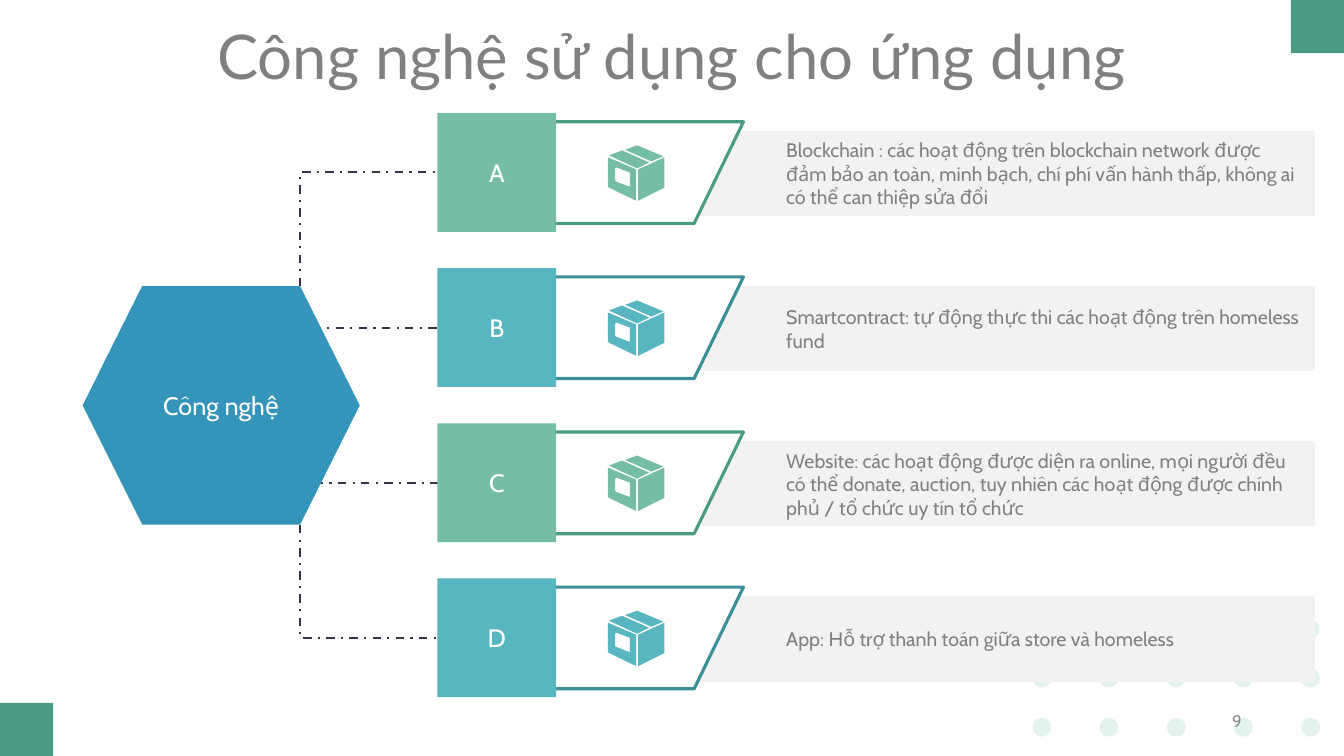
from dataclasses import dataclass

import lxml.etree
import pptx
import pptx.dml.color
import pptx.enum.dml
import pptx.enum.shapes
import pptx.enum.text
import pptx.oxml.ns
import pptx.util

Pt = pptx.util.Pt
qn = pptx.oxml.ns.qn
Form = pptx.enum.shapes.MSO_SHAPE
Align = pptx.enum.text.PP_ALIGN
Anchor = pptx.enum.text.MSO_ANCHOR


@dataclass(frozen=True)
class Theme:
    head: str = "Lato"
    body: str = "Cabin"
    gray: str = "808080"
    faint: str = "8C8C8C"
    white: str = "FFFFFF"
    band: str = "F2F2F2"
    dot: str = "E3F2ED"
    ink: str = "373545"
    blue: str = "3494BA"
    mint: str = "75BDA7"
    green: str = "4A9B83"
    aqua: str = "58B6C0"
    teal: str = "3A8F98"
    title: int = 44
    label: int = 18
    note: int = 14
    small: int = 12


# Package icon: outlines of each face, measured from the icon's centre
FACES = [
    [[(-15, -2.9), (-13.9, -3.6), (-4.5, 0), (-4.5, 10), (-5, 10.1),
      (-14.4, 6.5), (-15, 5.8)],
     [(-20.2, 10.1), (-19.4, 10.8), (0, 20.2), (0, -2.2), (-20.2, -10.8)]],
    [[(-10.1, -15.8), (-19.4, -12.2), (0.7, -2.9), (9.4, -7.2)]],
    [[(1.4, -2.2), (1.4, 20.2), (20.2, 10.8), (20.2, -10.8)]],
    [[(19.4, -11.5), (0.7, -19.4), (-7.9, -16.2), (10.8, -7.9)]],
]


class Painter:
    def __init__(self, slide, theme):
        self.slide = slide
        self.theme = theme

    def color(self, code):
        return pptx.dml.color.RGBColor.from_string(code)

    def paint(self, shape, fill, edge=None):
        shape.shadow.inherit = False
        shape.fill.solid()
        shape.fill.fore_color.rgb = self.color(fill)
        if edge:
            shape.line.color.rgb = self.color(edge)
            shape.line.width = Pt(2.25)
        else:
            shape.line.fill.background()
        return shape

    def shape(self, form, x, y, w, h, fill, edge=None):
        new = self.slide.shapes.add_shape(form, Pt(x), Pt(y), Pt(w), Pt(h))
        return self.paint(new, fill, edge)

    def label(self, shape, text, size, code, align, font=None):
        frame = shape.text_frame
        frame.word_wrap = True
        frame.vertical_anchor = Anchor.MIDDLE
        frame.text = text
        line = frame.paragraphs[0]
        line.alignment = align
        for run in line.runs:
            run.font.name = font or self.theme.body
            run.font.size = Pt(size)
            run.font.color.rgb = self.color(code)
        return frame

    def text(self, x, y, w, h, *style):
        box = self.slide.shapes.add_textbox(Pt(x), Pt(y), Pt(w), Pt(h))
        return self.label(box, *style)

    def elbow(self, start, end, bend):
        """Dashed elbow; bend is its turning point as a share of the width."""
        kind = pptx.enum.shapes.MSO_CONNECTOR.ELBOW
        link = self.slide.shapes.add_connector(
            kind, *[Pt(n) for n in (*start, *end)])
        link.line.color.rgb = self.color(self.theme.ink)
        link.line.width = Pt(1.5)
        link.line.dash_style = pptx.enum.dml.MSO_LINE.DASH_DOT
        props = link._element.spPr
        guides = props.find(qn("a:prstGeom")).find(qn("a:avLst"))
        lxml.etree.SubElement(guides, qn("a:gd"), name="adj1",
                              fmla=f"val {round(bend * 100000)}")
        lxml.etree.SubElement(props, qn("a:effectLst"))

    def face(self, loops, x, y, fill):
        loops = [[(Pt(x + a), Pt(y + b)) for a, b in loop] for loop in loops]
        pen = self.slide.shapes.build_freeform(*loops[0][0])
        pen.add_line_segments(loops[0][1:], close=True)
        for loop in loops[1:]:
            pen.move_to(*loop[0])
            pen.add_line_segments(loop[1:], close=True)
        return self.paint(pen.convert_to_shape(), fill)

    def group(self, parts):
        self.slide.shapes.add_group_shape(parts)


def main():
    deck = pptx.Presentation()
    deck.slide_width, deck.slide_height = Pt(960), Pt(540)
    theme = Theme()
    draw = Painter(deck.slides.add_slide(deck.slide_layouts[6]), theme)

    # Title
    frame = draw.text(38, 18.7, 884, 48.2, "Công nghệ sử dụng cho ứng dụng",
                      theme.title, theme.gray, Align.CENTER, theme.head)
    frame.vertical_anchor = Anchor.TOP
    frame.margin_left = frame.margin_right = 0
    frame.margin_top = frame.margin_bottom = 0
    frame.paragraphs[0].line_spacing = 0.9

    # Dots: two full rows below a single dot in the last column
    spots = [(4, 0)] + [(col, row) for row in (1, 2) for col in range(5)]
    draw.group([draw.shape(Form.OVAL, 737.4 + 48 * col, 442.4 + 35.2 * row,
                           13.5, 13.5, theme.dot) for col, row in spots])

    # Corner squares and page number
    for x, y in ((922, 0), (0, 502)):
        draw.shape(Form.RECTANGLE, x, y, 38, 38, theme.green)
    draw.text(678, 500.4, 216, 28.8, "9", theme.small, theme.faint, Align.RIGHT)

    # Links from the hexagon to the row centres
    first, pitch = 123.2, 110.8
    mids = [first + pitch * n for n in range(4)]
    edge = 312.5
    draw.elbow((214.5, 204.5), (edge, mids[0]), 0)
    draw.elbow((214.5, 375), (edge, mids[3]), 0)
    draw.elbow((edge + 1, mids[2]), (edge, mids[1]), 97.92)

    # Hexagon
    hub = draw.shape(Form.HEXAGON, 59, 204.3, 198, 170.5, theme.blue)
    draw.label(hub, "Công nghệ", theme.label, theme.white, Align.CENTER)

    # Rows
    notes = [
        "Blockchain : các hoạt động trên blockchain network được đảm bảo an "
        "toàn, minh bạch, chí phí vấn hành thấp, không ai có thể can thiệp "
        "sửa đổi",
        "Smartcontract: tự động thực thi các hoạt động trên homeless fund",
        "Website: các hoạt động được diện ra online, mọi người đều có thể "
        "donate, auction, tuy nhiên các hoạt động được chính phủ / tổ chức "
        "uy tín tổ chức",
        "App: Hỗ trợ thanh toán giữa store và homeless",
    ]
    tones = [(theme.mint, theme.green), (theme.aqua, theme.teal)] * 2
    for mid, mark, note, (fill, rim) in zip(mids, "ABCD", notes, tones):
        band = draw.shape(Form.FLOWCHART_PROCESS, 482.4, mid - 29.6, 457, 60.8,
                          theme.band)
        frame = draw.label(band, note, theme.note, theme.gray, Align.LEFT)
        frame.margin_left = Pt(79.2)
        draw.shape(Form.FLOWCHART_DATA, 355, mid - 36.2, 176, 72.6,
                   theme.white, rim)
        tile = draw.shape(Form.RECTANGLE, edge, mid - 42.4, 84.8, 84.8, fill)
        draw.label(tile, mark, theme.label, theme.white, Align.CENTER)
        draw.group([draw.face(loops, 454.4, mid, fill) for loops in FACES])

    deck.save("out.pptx")


if __name__ == "__main__":
    main()
